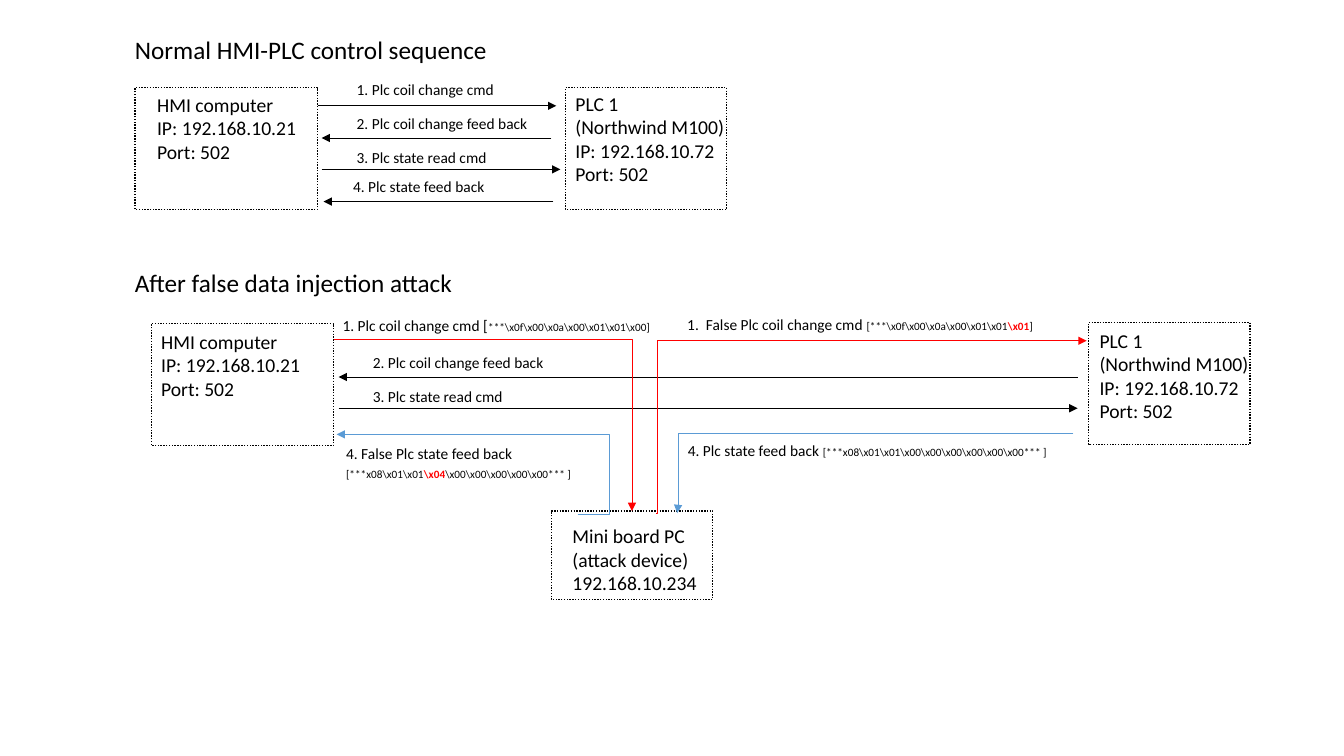
"""Builds a slide comparing normal HMI-PLC traffic with a false data injection attack."""
from dataclasses import dataclass

from lxml import etree
from pptx import Presentation
from pptx.dml.color import RGBColor
from pptx.enum.dml import MSO_LINE
from pptx.enum.shapes import MSO_CONNECTOR, MSO_SHAPE
from pptx.enum.text import MSO_AUTO_SIZE
from pptx.oxml.ns import qn
from pptx.util import Pt

DOTTED = MSO_LINE.ROUND_DOT
RECTANGLE = MSO_SHAPE.RECTANGLE
STRAIGHT, ELBOW = MSO_CONNECTOR.STRAIGHT, MSO_CONNECTOR.ELBOW
FIT_TEXT = MSO_AUTO_SIZE.SHAPE_TO_FIT_TEXT


@dataclass(frozen=True)
class Theme:
    font: str = "Calibri"
    black: RGBColor = RGBColor(0, 0, 0)
    white: RGBColor = RGBColor(255, 255, 255)
    red: RGBColor = RGBColor(255, 0, 0)
    blue: RGBColor = RGBColor(0x5B, 0x9B, 0xD5)
    title: int = 18
    body: int = 14
    label: int = 11
    code: int = 8


class Diagram:
    def __init__(self, slide, theme):
        self.s, self.theme = slide, theme

    def text(self, x, y, w, lines, size):
        """Each line is a string or a list of (text, format) runs."""
        h = len(lines) * size * 1.2 + 7.2
        tf = self.s.shapes.add_textbox(Pt(x), Pt(y), Pt(w), Pt(h)).text_frame
        tf.word_wrap = True
        tf.auto_size = FIT_TEXT
        for i, line in enumerate(lines):
            p = tf.add_paragraph() if i else tf.paragraphs[0]
            runs = [(line, {})] if isinstance(line, str) else line
            for content, changes in runs:
                r = p.add_run()
                r.text = content
                style = {"name": self.theme.font, "size": Pt(size), **changes}
                color = style.pop("color", self.theme.black)
                for name, value in style.items():
                    setattr(r.font, name, value)
                r.font.color.rgb = color

    def device(self, box, text_at, lines):
        sp = self.s.shapes.add_shape(RECTANGLE, *map(Pt, box))
        sp.shadow.inherit = False
        sp.fill.solid()
        sp.fill.fore_color.rgb = self.theme.white
        sp.line.color.rgb = self.theme.black
        for name, value in {"width": Pt(1), "dash_style": DOTTED}.items():
            setattr(sp.line, name, value)
        self.text(*text_at, lines, self.theme.body)

    def arrow(self, start, end, color=None, kind=STRAIGHT):
        cxn = self.s.shapes.add_connector(kind, *map(Pt, (*start, *end)))
        cxn.line.width = Pt(0.5)
        cxn.line.color.rgb = color or self.theme.black
        etree.SubElement(cxn.line._get_or_add_ln(), qn("a:tailEnd"), type="triangle")
        etree.SubElement(cxn._element.spPr, qn("a:effectLst"))
        return cxn

    def elbow(self, start, end, color, bend=None):
        """Bend is the turn's share of the width in 1/100000; None makes one corner."""
        geom = self.arrow(start, end, color, ELBOW)._element.spPr.find(qn("a:prstGeom"))
        if bend is None:
            geom.set("prst", "bentConnector2")
        else:
            guides = geom.find(qn("a:avLst"))
            etree.SubElement(guides, qn("a:gd"), name="adj1", fmla=f"val {bend}")


def main():
    prs = Presentation()
    prs.slide_width, prs.slide_height = Pt(960), Pt(540)
    t = Theme()
    d = Diagram(prs.slides.add_slide(prs.slide_layouts[6]), t)

    code = {"size": Pt(t.code)}
    forged = {**code, "bold": True, "color": t.red}
    hmi = ["HMI computer", "IP: 192.168.10.21", "Port: 502"]
    plc = ["PLC 1", "(Northwind M100)", "IP: 192.168.10.72", "Port: 502"]
    attacker = ["Mini board PC", "(attack device)", "192.168.10.234"]
    hmi_size, plc_size = (130.3, 87.1), (115.2, 87.1)

    for y, title in ((20.9, "Normal HMI-PLC control sequence"),
                     (187.2, "After false data injection attack")):
        d.text(89.3, y, 304, [title], t.title)

    for box, text_at, lines in (
        ((96.5, 62.6, *hmi_size), (105.1, 62.6, 142.6), hmi),
        ((403.9, 62.6, *plc_size), (403.9, 61.9, 142.6), plc),
        ((108, 231.1, *hmi_size), (108, 231.8, 142.6), hmi),
        ((777.6, 230.4, *plc_size), (778.3, 231.1, 142.6), plc),
        ((393.8, 365, 115.2, 63.4), (401.8, 370.8, 196.6), attacker),
    ):
        d.device(box, text_at, lines)

    for x1, x2, y in (
        (226.8, 397.4, 75.6), (393.8, 229.7, 98.6),
        (229.7, 400.3, 121), (395.3, 231.1, 144),
        (769.7, 241.9, 269.3), (241.9, 769.7, 291.6),
    ):
        d.arrow((x1, y), (x2, y))

    d.elbow((238.3, 242.6), (451.4, 365), t.red)
    d.elbow((468.7, 366.5), (776.2, 243.4), t.red, 400)
    d.elbow((766.8, 309.6), (483.8, 366.5), t.blue, 99800)
    d.elbow((412.6, 367.2), (240.5, 310.3), t.blue, -13400)

    feedback, read = "2. Plc coil change feed back", "3. Plc state read cmd"
    for x, y, w, lines in (
        (247.7, 54, 170, ["1. Plc coil change cmd"]),
        (247.7, 77.8, 170, [feedback]),
        (247.7, 102.2, 170, [read]),
        (242.6, 123.1, 170, [" 4. Plc state feed back"]),
        (259.2, 248.4, 170, [feedback]),
        (259.2, 272.9, 170, [read]),
        (237.6, 222.5, 271.4, [[
            ("1. Plc coil change cmd [", {}),
            (r"***\x0f\x00\x0a\x00\x01\x01\x00]", code)]]),
        (483.8, 221.8, 294.5, [[
            ("1.  False Plc coil change cmd ", {}),
            (r"[***\x0f\x00\x0a\x00\x01\x01", code),
            (r"\x01", forged), ("]", code)]]),
        (481.7, 311.8, 296.6, [[
            (" 4. Plc state feed back ", {}),
            (r"[***x08\x01\x01\x00\x00\x00\x00\x00\x00*** ]", code)]]),
        (237.6, 313.9, 296.6, [" 4. False Plc state feed back", [
            (" ", {}), (r"[***x08\x01\x01", code), (r"\x04", forged),
            (r"\x00\x00\x00\x00\x00*** ]", code)]]),
    ):
        d.text(x, y, w, lines, t.label)

    prs.save("out.pptx")


if __name__ == "__main__":
    main()
